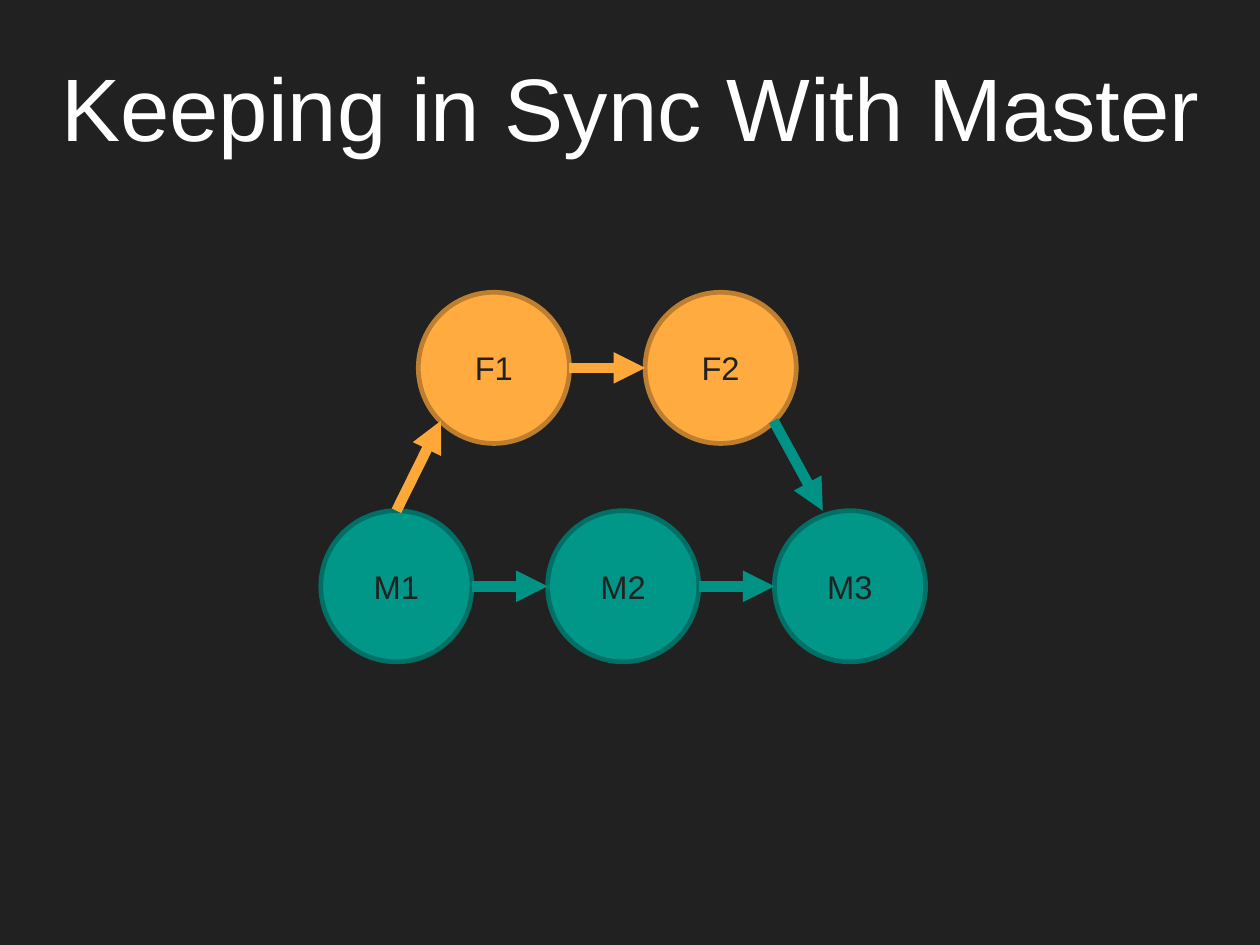
"""Build a slide that shows a feature branch kept in sync with master."""
from pptx import Presentation
from pptx.dml.color import RGBColor
from pptx.enum.shapes import MSO_CONNECTOR, MSO_SHAPE
from pptx.enum.text import MSO_ANCHOR as ANCHOR, PP_ALIGN as ALIGN
from pptx.oxml.ns import qn
from pptx.util import Inches, Pt
from lxml.etree import SubElement

WIDTH = 7.5
HEIGHT = WIDTH * 3 / 4
DIAMETER, STEP = 0.9, 1.35
BACKGROUND = "212121"
TITLE = "Keeping in Sync With Master"
BRANCHES = [
    dict(names=["M1", "M2", "M3"], left=1.91, top=3.04, fill="009688", line="006F65"),
    dict(names=["F1", "F2"], left=2.49, top=1.74, fill="FFAB40", line="BD7F2F"),
]
MASTER, FEATURE = "009385", "FEA83A"
SITES = {
    "left": (0, 0.5), "right": (1, 0.5), "top": (0.5, 0), "top left": (0.32, 0),
    "bottom left": (0.15, 0.85), "bottom right": (0.85, 0.85),
}
ARROWS = [
    ("M1", "right", "M2", "left", MASTER),
    ("M2", "right", "M3", "left", MASTER),
    ("F1", "right", "F2", "left", FEATURE),
    ("M1", "top", "F1", "bottom left", FEATURE),
    ("F2", "bottom right", "M3", "top left", MASTER),
]


def rgb(value):
    return RGBColor.from_string(value)


def write(sp, text, size, color, anchor, margin):
    tf = sp.text_frame
    frame = dict(word_wrap=True, vertical_anchor=anchor)
    frame.update({f"margin_{side}": Inches(margin) for side in ("left", "right", "top", "bottom")})
    for name, value in frame.items():
        setattr(tf, name, value)
    p = tf.paragraphs[0]
    p.alignment = ALIGN.CENTER
    r = p.add_run()
    r.text = text
    for name, value in dict(name="Arial", size=Pt(size)).items():
        setattr(r.font, name, value)
    r.font.color.rgb = rgb(color)


def add_commit(s, name, left, top, fill, line):
    sp = s.shapes.add_shape(MSO_SHAPE.OVAL, *map(Inches, (left, top, DIAMETER, DIAMETER)))
    sp.shadow.inherit = False
    sp.fill.solid()
    sp.fill.fore_color.rgb = rgb(fill)
    sp.line.color.rgb = rgb(line)
    sp.line.width = Pt(2)
    write(sp, name, 14, BACKGROUND, ANCHOR.MIDDLE, 0)


def add_arrow(s, start, end, color):
    arrow = s.shapes.add_connector(MSO_CONNECTOR.STRAIGHT, *map(Inches, start + end))
    arrow.line.color.rgb = rgb(color)
    arrow.line.width = Pt(4.5)
    properties = arrow.element.spPr
    SubElement(properties.find(qn("a:ln")), qn("a:tailEnd"), type="triangle")
    SubElement(properties, qn("a:effectLst"))


prs = Presentation()
prs.slide_width, prs.slide_height = Inches(WIDTH), Inches(HEIGHT)
s = prs.slides.add_slide(prs.slide_layouts[6])
s.background.fill.solid()
s.background.fill.fore_color.rgb = rgb(BACKGROUND)

title = s.shapes.add_textbox(*map(Inches, (0.26, 0.19, 6.99, 0.86)))
write(title, TITLE, 38, "FFFFFF", ANCHOR.BOTTOM, 0.1)

corners = {}
for branch in BRANCHES:
    for column, name in enumerate(branch["names"]):
        corners[name] = left, top = branch["left"] + column * STEP, branch["top"]
        add_commit(s, name, left, top, branch["fill"], branch["line"])


def site(name, side):
    return tuple(corner + DIAMETER * share for corner, share in zip(corners[name], SITES[side]))


for origin, origin_side, target, target_side, color in ARROWS:
    add_arrow(s, site(origin, origin_side), site(target, target_side), color)

prs.save("out.pptx")
